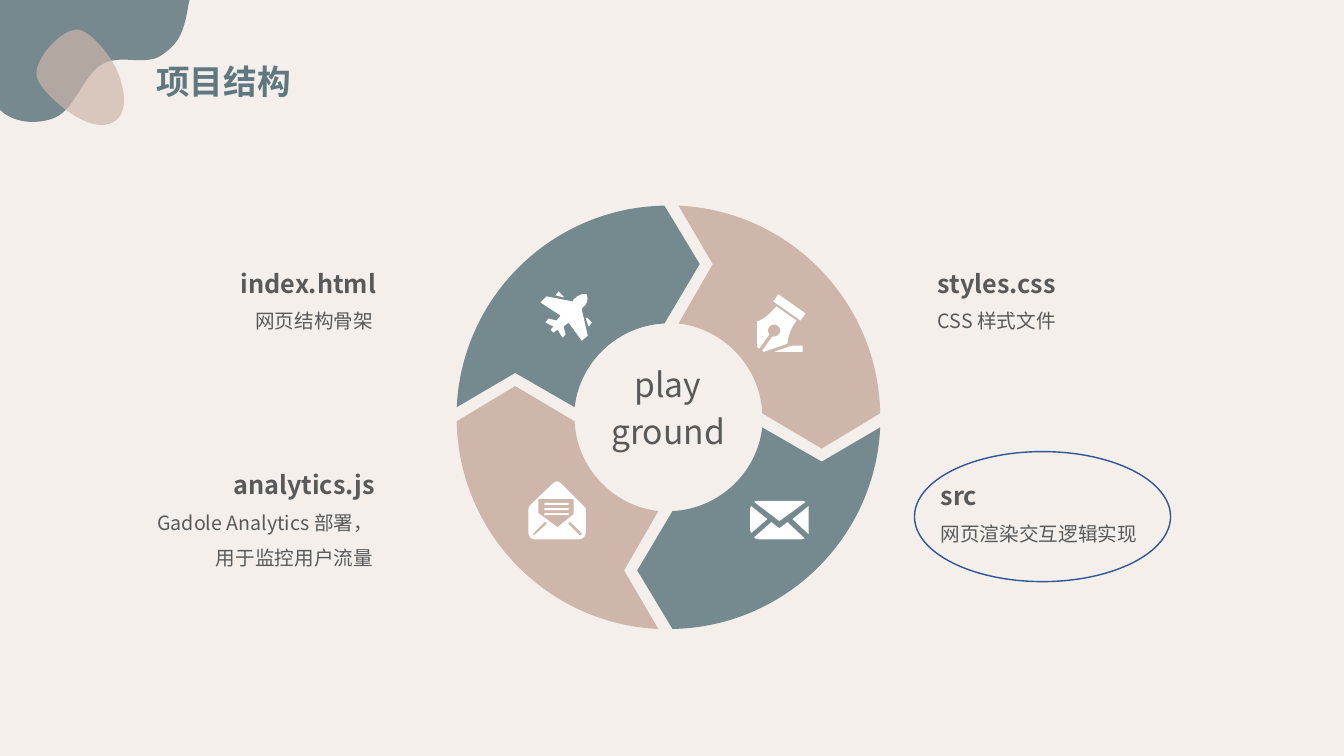
from lxml.etree import SubElement
from pptx import Presentation
from pptx.dml.color import RGBColor
from pptx.enum.shapes import MSO_SHAPE
from pptx.enum.text import MSO_ANCHOR, MSO_AUTO_SIZE, PP_ALIGN
from pptx.oxml.ns import qn
from pptx.util import Inches, Pt

FONT = "Noto Sans CJK SC"
TEAL, ROSE, DEEP_TEAL = "758A8F", "CEB6AA", "5F787F"
GREY, WHITE, CREAM, BLUE = "595959", "FFFFFF", "F4EFEB", "2F5597"
RING_CENTRE = (6.63, 4.14)

# Outlines: a pair is a corner, six numbers are a curve (two handles, end).
# The top right arrow of the ring, measured from the ring's centre
ARROW = [(2.1, -0.04), (2.08, -1.15, 1.2, -2.05, 0.1, -2.1), (0.44, -1.52),
         (0.1, -0.93), (0.55, -0.88, 0.91, -0.5, 0.93, -0.04), (1.52, 0.31)]

CORNER_BLOB = [(0, 1.08), (0, 0), (1.88, 0), (1.87, 0.04),
               (1.82, 0.38, 1.74, 0.45, 1.6, 0.55),
               (1.43, 0.66, 1.19, 0.53, 1.01, 0.64),
               (0.83, 0.74, 0.74, 1.09, 0.54, 1.17),
               (0.36, 1.24, 0.13, 1.22, 0, 1.09)]
SMALL_BLOB = [(0.73, 0.3), (0.85, 0.24, 1.11, 0.56, 1.17, 0.72),
              (1.23, 0.87, 1.3, 1.16, 1.08, 1.23),
              (0.85, 1.31, 0.43, 0.94, 0.37, 0.78),
              (0.31, 0.62, 0.58, 0.32, 0.73, 0.3)]

ENVELOPE = [
    [(7.52, 4.97), (7.95, 4.97), (7.96, 4.97, 7.98, 4.97, 7.99, 4.98),
     (7.73, 5.17), (7.48, 4.98), (7.49, 4.97, 7.5, 4.97, 7.52, 4.97)],
    [(8.02, 5.02), (7.86, 5.15), (8.02, 5.3)],
    [(7.98, 5.34), (7.97, 5.34, 7.96, 5.35, 7.95, 5.35), (7.52, 5.35),
     (7.5, 5.35, 7.49, 5.34, 7.48, 5.33), (7.65, 5.18), (7.73, 5.24), (7.81, 5.18)],
    [(7.45, 5.29), (7.61, 5.15), (7.45, 5.02), (7.44, 5.04), (7.44, 5.26)],
]
TEXT_LINES = [[(5.4, y), (5.4, y + 0.02), (5.64, y + 0.02), (5.64, y)]
              for y in (4.99, 5.04, 5.09)]
LETTER = [
    [(5.78, 5.01), (5.79, 5.02, 5.81, 5.04, 5.81, 5.05), (5.81, 5.28),
     (5.81, 5.32, 5.78, 5.35, 5.74, 5.35), (5.3, 5.35),
     (5.27, 5.35, 5.24, 5.32, 5.24, 5.28), (5.24, 5.05),
     (5.24, 5.04, 5.25, 5.02, 5.26, 5.01), (5.49, 4.79),
     (5.51, 4.77, 5.53, 4.77, 5.56, 4.79)],
    [(5.34, 4.95), (5.34, 5.09), (5.53, 5.23), (5.69, 5.1), (5.69, 4.95)],
    *TEXT_LINES,
    [(5.3, 5.31), (5.42, 5.2), (5.42, 5.18), (5.4, 5.18), (5.29, 5.29), (5.29, 5.31)],
    [(5.77, 5.29), (5.66, 5.18), (5.64, 5.18), (5.64, 5.2), (5.75, 5.31), (5.77, 5.31)],
]
PLANE = [
    [(5.82, 2.92), (5.84, 2.98, 5.82, 3.02, 5.78, 3.05), (5.77, 3.07), (5.83, 3.33),
     (5.77, 3.38), (5.64, 3.2), (5.59, 3.24), (5.61, 3.32), (5.58, 3.35),
     (5.53, 3.27), (5.49, 3.3), (5.46, 3.27), (5.49, 3.24), (5.41, 3.2),
     (5.44, 3.16), (5.52, 3.18), (5.56, 3.13), (5.36, 3), (5.42, 2.94),
     (5.68, 2.99), (5.69, 2.97), (5.74, 2.92, 5.78, 2.91, 5.82, 2.92)],
    [(5.87, 3.2), (5.82, 3.15), (5.81, 3.16), (5.84, 3.24)],
    [(5.54, 2.89), (5.51, 2.93), (5.59, 2.95), (5.59, 2.94)],
]
PEN = [
    [(7.53, 3.46), (7.51, 3.44), (7.51, 3.19), (7.59, 3.16, 7.64, 3.11, 7.7, 3.04),
     (7.9, 3.18), (7.84, 3.26, 7.82, 3.33, 7.81, 3.41), (7.58, 3.49), (7.56, 3.48),
     (7.66, 3.34), (7.68, 3.34, 7.71, 3.34, 7.73, 3.31),
     (7.75, 3.29, 7.74, 3.25, 7.71, 3.23), (7.69, 3.21, 7.65, 3.22, 7.63, 3.24),
     (7.61, 3.27, 7.61, 3.3, 7.63, 3.32)],
    [(7.68, 3.49), (7.96, 3.49), (7.96, 3.43), (7.85, 3.43)],
    [(7.94, 3.18), (7.99, 3.11), (7.72, 2.92), (7.67, 2.99)],
]

# Heading and its box, description and its box, alignment
LABELS = [
    ("styles.css", (9.3, 2.66, 1.41, 0.3),
     "CSS 样式文件", (9.3, 2.95, 2.99, 0.35), PP_ALIGN.LEFT),
    ("src", (9.33, 4.77, 1.09, 0.3),
     "网页渲染交互逻辑实现", (9.33, 5.06, 2.67, 0.35), PP_ALIGN.LEFT),
    ("index.html", (2.17, 2.66, 1.56, 0.3),
     "网页结构骨架", (2.39, 2.95, 1.31, 0.35), PP_ALIGN.RIGHT),
    ("analytics.js", (2.01, 4.66, 1.71, 0.3),
     "Gadole Analytics 部署，用于监控用户流量", (1.41, 4.95, 2.29, 0.71), PP_ALIGN.RIGHT),
]


def colour(value):
    return RGBColor.from_string(value)


def node_points(node):
    return list(zip(node[::2], node[1::2]))


def bend_curves(shape, contours):
    """Merge the three points of each curve into one curve segment."""
    segments = shape._element.iter(qn("a:lnTo"))
    segments = iter(list(segments))
    for contour in contours:
        for node in contour[1:]:
            group = [next(segments) for _ in node_points(node)]
            if len(group) == 3:
                curve = group[0]
                for extra in group[1:]:
                    curve.append(extra[0])
                    extra.getparent().remove(extra)
                bezier = SubElement(curve.getparent(), qn("a:cubicBezTo"))
                bezier.extend(list(curve))
                curve.getparent().replace(curve, bezier)


def add_outline(page, contours, fill, opacity=100):
    builder = None
    for contour in contours:
        points = [(Inches(x), Inches(y)) for node in contour for x, y in node_points(node)]
        if builder is None:
            builder = page.shapes.build_freeform(*points[0])
        else:
            builder.move_to(*points[0])
        builder.add_line_segments(points[1:], close=True)
    shape = builder.convert_to_shape()
    bend_curves(shape, contours)
    shape.shadow.inherit = False
    shape.fill.solid()
    shape.fill.fore_color.rgb = colour(fill)
    shape.line.fill.background()
    if opacity < 100:
        tint = shape._element.spPr.find(qn("a:solidFill"))[0]
        SubElement(tint, qn("a:alpha"), val=str(opacity * 1000))


def write(frame, text, size=14, ink=GREY, bold=False, align=PP_ALIGN.LEFT,
          spacing=1.0, gap=0, margins=(0, 0, 0), wrap=True, grow=True):
    frame.word_wrap = wrap
    frame.auto_size = MSO_AUTO_SIZE.SHAPE_TO_FIT_TEXT if grow else MSO_AUTO_SIZE.NONE
    frame.vertical_anchor = MSO_ANCHOR.TOP
    frame.margin_left, frame.margin_top, frame.margin_right = map(Inches, margins)
    frame.margin_bottom = frame.margin_top
    frame.text = text
    for index, para in enumerate(frame.paragraphs):
        para.alignment = align
        para.space_before = Pt(gap if index else 0)
        para.line_spacing = spacing
        for span in para.runs:
            font = span.font
            font.name, font.size, font.bold = FONT, Pt(size), bold
            font.color.rgb = colour(ink)
            SubElement(font._element, qn("a:ea"), typeface=FONT)


def add_text(page, place, text, **style):
    box = page.shapes.add_textbox(*map(Inches, place))
    write(box.text_frame, text, **style)


def quarter_turn(node):
    return tuple(value for x, y in node_points(node) for value in (-y, x))


def add_ring(page):
    arrow = ARROW
    for fill in (ROSE, TEAL, ROSE, TEAL):
        placed = [tuple(value + RING_CENTRE[i % 2] for i, value in enumerate(node))
                  for node in arrow]
        add_outline(page, [placed], fill)
        arrow = [quarter_turn(node) for node in arrow]


def add_title(page, text):
    title = page.shapes.title
    title.left, title.top, title.width, title.height = map(Inches, (1.46, 0.56, 1.53, 0.5))
    write(title.text_frame, text, size=24, ink=DEEP_TEAL, bold=True,
          margins=(0.09, 0.04, 0), wrap=False)


def add_ellipse(page, place):
    ellipse = page.shapes.add_shape(MSO_SHAPE.OVAL, *map(Inches, place))
    ellipse.shadow.inherit = False
    ellipse.fill.background()
    ellipse.line.color.rgb = colour(BLUE)
    ellipse.line.width = Pt(1)


def main():
    deck = Presentation()
    deck.slide_width, deck.slide_height = Inches(13.33), Inches(7.5)
    page = deck.slides.add_slide(deck.slide_layouts[5])
    page.background.fill.solid()
    page.background.fill.fore_color.rgb = colour(CREAM)
    # Ring with its centre text and icons
    add_ring(page)
    add_text(page, (5.99, 3.61, 1.27, 1.05), "play\nground", size=24,
             align=PP_ALIGN.CENTER, gap=5, grow=False)
    for icon in (ENVELOPE, LETTER, PLANE, PEN):
        add_outline(page, icon, WHITE)
    # File labels
    for heading, heading_place, note, note_place, align in LABELS:
        add_text(page, heading_place, heading, size=18, bold=True, align=align)
        add_text(page, note_place, note, align=align, spacing=1.5)
    # Corner decoration and title
    add_outline(page, [CORNER_BLOB], DEEP_TEAL, opacity=85)
    add_outline(page, [SMALL_BLOB], ROSE, opacity=70)
    add_title(page, "项目结构")
    # Highlight around src
    add_ellipse(page, (9.07, 4.48, 2.54, 1.29))
    deck.save("out.pptx")


if __name__ == "__main__":
    main()
